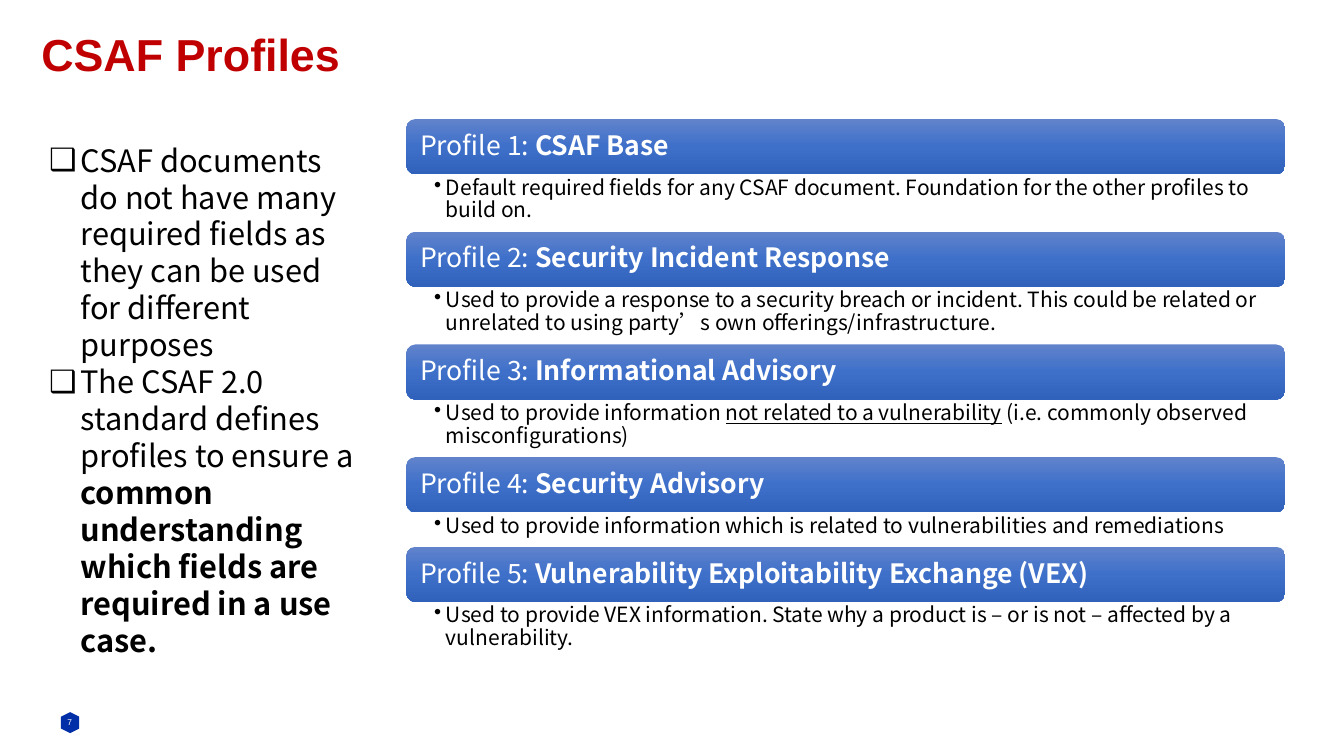
from copy import deepcopy

from lxml.etree import SubElement
from pptx import Presentation
from pptx.dml.color import RGBColor
from pptx.enum.shapes import MSO_SHAPE
from pptx.enum.text import MSO_ANCHOR, MSO_AUTO_SIZE, PP_ALIGN
from pptx.oxml.ns import qn
from pptx.util import Cm, Pt

COLORS = {"title": "C00000", "text": "000000", "on_fill": "FFFFFF", "badge": "002FA7"}
BAR_GRADIENT = [(0, "6183CB"), (0.5, "3E70CA"), (1, "3062BB")]
SANS = "Noto Sans CJK SC"

FORMATS = {
    "title": {"name": "Arial", "size": Pt(32), "bold": True},
    "list": {"name": SANS, "size": Pt(22)},
    "bar": {"name": SANS, "size": Pt(19)},
    "detail": {"name": SANS, "size": Pt(15)},
    "number": {"name": "Arial", "size": Pt(6)},
}
BOLD = {"bold": True}
UNDERLINE = {"underline": True}


def write(paragraph, runs, style, color, bullet=None, indent=0):
    """Fill a paragraph with (text, extra format) runs, bulleted if asked."""
    if bullet:
        properties = paragraph._p.get_or_add_pPr()
        properties.set("marL", str(Cm(indent)))
        properties.set("indent", str(-Cm(indent)))
        SubElement(properties, qn("a:buChar")).set("char", bullet)
    paragraph.space_before = Pt(0)
    for text, extra in runs:
        run = paragraph.add_run()
        run.text = text
        for attribute, value in {**FORMATS[style], **extra}.items():
            setattr(run.font, attribute, value)
        run.font.color.rgb = RGBColor.from_string(COLORS[color])
        SubElement(run._r.get_or_add_rPr(), qn("a:ea")).set("typeface", FORMATS[style]["name"])


def set_frame(frame, anchor, left, top, right, bottom):
    """Set wrapping, anchor and margins (in cm) of a text frame."""
    settings = {
        "word_wrap": True, "auto_size": MSO_AUTO_SIZE.NONE, "vertical_anchor": anchor,
        "margin_left": Cm(left), "margin_top": Cm(top),
        "margin_right": Cm(right), "margin_bottom": Cm(bottom),
    }
    for attribute, value in settings.items():
        setattr(frame, attribute, value)


presentation = Presentation()
presentation.slide_width, presentation.slide_height = Cm(33.87), Cm(19.05)
slide = presentation.slides.add_slide(presentation.slide_layouts[1])
title, reasons = slide.placeholders

# Title
title.left, title.top, title.width, title.height = Cm(0.79), Cm(0.76), Cm(27.38), Cm(1.17)
set_frame(title.text_frame, MSO_ANCHOR.MIDDLE, 0.25, 0.13, 0.25, 0.13)
heading = title.text_frame.paragraphs[0]
heading.alignment = PP_ALIGN.LEFT
write(heading, [("CSAF Profiles", {})], "title", "title")

# Reasons for having profiles
reasons.left, reasons.top, reasons.width, reasons.height = Cm(0.99), Cm(3.43), Cm(8.31), Cm(12.47)
set_frame(reasons.text_frame, MSO_ANCHOR.TOP, 0.25, 0.13, 0.25, 0.13)
REASONS = [
    [("CSAF documents do not have many required fields as they can be used for different purposes", {})],
    [("The CSAF 2.0 standard defines profiles to ensure a ", {}),
     ("common understanding which fields are required in a use case.", BOLD)],
]
for index, runs in enumerate(REASONS):
    reason = reasons.text_frame.add_paragraph() if index else reasons.text_frame.paragraphs[0]
    write(reason, runs, "list", "text", "❑", 0.79)

# Profiles: name, detail runs, lines of detail
PROFILES = [
    ("CSAF Base",
     [("Default required fields for any CSAF document. "
       "Foundation for the other profiles to build on.", {})], 2),
    ("Security Incident Response",
     [("Used to provide a response to a security breach or incident. This could be related "
       "or unrelated to using party’s own offerings/infrastructure.", {})], 2),
    ("Informational Advisory",
     [("Used to provide information ", {}),
      ("not related to a vulnerability", UNDERLINE),
      (" ", {"italic": True}),
      ("(i.e. commonly observed misconfigurations)", {})], 2),
    ("Security Advisory",
     [("Used to provide information which is related to vulnerabilities and remediations", {})], 1),
    ("Vulnerability Exploitability Exchange (VEX)",
     [("Used to provide VEX information. State why a product is – or is not – "
       "affected by a vulnerability.", {})], 2),
]
LEFT, WIDTH, BAR_HEIGHT = 10.24, 22.15, 1.39
DETAIL_HEIGHTS = {1: 0.87, 2: 1.45}

top = 3.0
for number, (name, detail_runs, lines) in enumerate(PROFILES, start=1):
    # Gradient bar with the profile name
    bar = slide.shapes.add_shape(
        MSO_SHAPE.ROUNDED_RECTANGLE, Cm(LEFT), Cm(top), Cm(WIDTH), Cm(BAR_HEIGHT))
    bar.shadow.inherit = False
    bar.line.fill.background()
    bar.fill.gradient()
    bar.fill.gradient_angle = 270
    stop_list = bar._element.spPr.find(qn("a:gradFill")).find(qn("a:gsLst"))
    stop_list.insert(1, deepcopy(stop_list[0]))
    for stop, (position, color) in zip(bar.fill.gradient_stops, BAR_GRADIENT):
        stop.position = position
        stop.color.rgb = RGBColor.from_string(color)
    set_frame(bar.text_frame, MSO_ANCHOR.MIDDLE, 0.28, 0.2, 0.28, 0.2)
    label = bar.text_frame.paragraphs[0]
    label.alignment = PP_ALIGN.LEFT
    label.line_spacing = 0.9
    write(label, [(f"Profile {number}: ", {}), (name, BOLD)], "bar", "on_fill")
    top += BAR_HEIGHT

    # Detail below the bar
    detail = slide.shapes.add_textbox(Cm(LEFT), Cm(top), Cm(WIDTH), Cm(DETAIL_HEIGHTS[lines]))
    set_frame(detail.text_frame, MSO_ANCHOR.TOP, 0.7, 0.07, 0.38, 0.07)
    explanation = detail.text_frame.paragraphs[0]
    explanation.line_spacing = 0.9
    write(explanation, detail_runs, "detail", "text", "•", 0.3)
    top += DETAIL_HEIGHTS[lines]

# Slide number badge
badge = slide.shapes.add_shape(MSO_SHAPE.HEXAGON, Cm(1.5), Cm(17.98), Cm(0.53), Cm(0.46))
badge.rotation = 90
badge.shadow.inherit = False
badge.fill.solid()
badge.fill.fore_color.rgb = RGBColor.from_string(COLORS["badge"])
badge.line.fill.background()
page = slide.shapes.add_textbox(Cm(1.24), Cm(17.7), Cm(1.04), Cm(1.02))
set_frame(page.text_frame, MSO_ANCHOR.MIDDLE, 0, 0, 0, 0)
page_number = page.text_frame.paragraphs[0]
page_number.alignment = PP_ALIGN.CENTER
write(page_number, [("7", {})], "number", "on_fill")

presentation.save("out.pptx")
